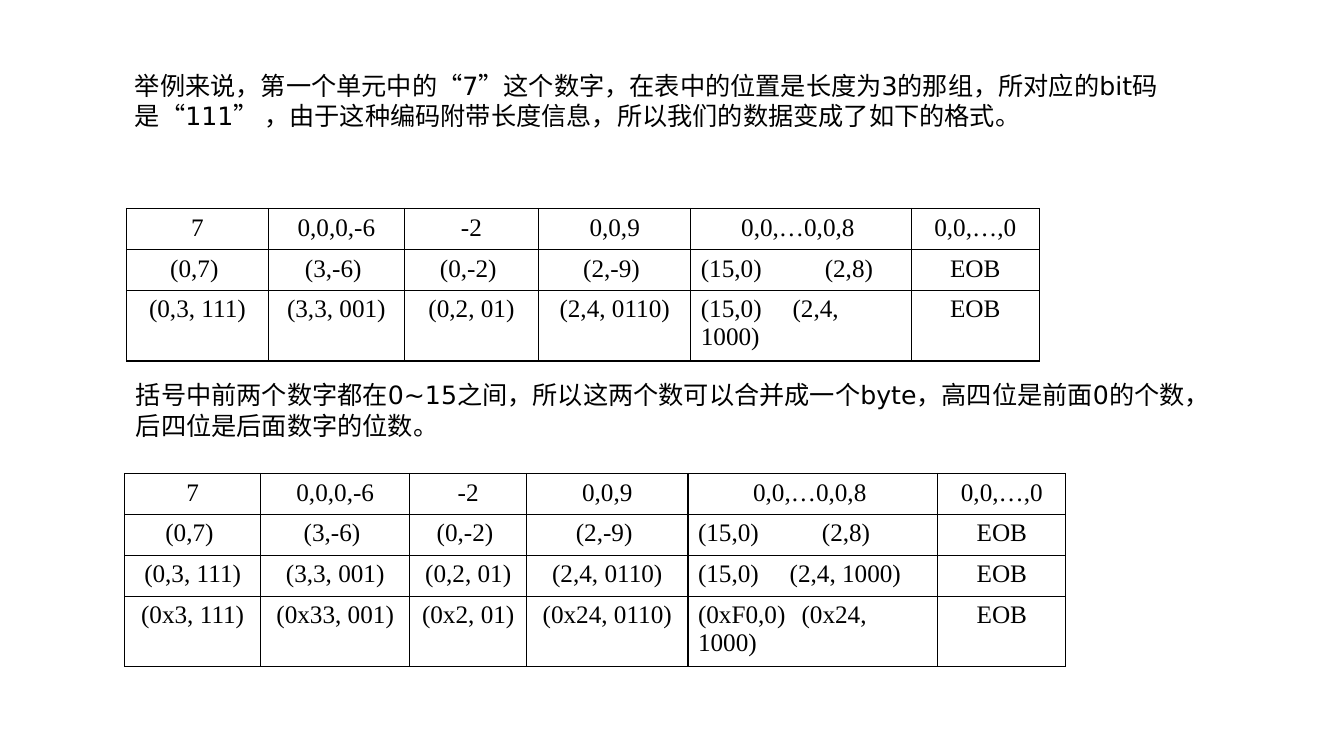
from lxml.etree import SubElement
from pptx import Presentation
from pptx.dml.color import RGBColor
from pptx.enum.text import PP_ALIGN
from pptx.oxml.ns import qn
from pptx.util import Pt

COLORS = {"ink": "000000"}
LATIN, CJK, SERIF = "DejaVu Sans", "Noto Sans CJK SC", "Times New Roman"


def add_run(p, text, font):
    r = p.add_run()
    r.text = text
    r.font.size = Pt(18)
    r.font.name = font
    r.font.color.rgb = RGBColor.from_string(COLORS["ink"])
    return r


def add_border(cell, side):
    ln = SubElement(cell._tc.get_or_add_tcPr(), qn(f"a:{side}"), w=str(Pt(1)))
    fill = SubElement(ln, qn("a:solidFill"))
    SubElement(fill, qn("a:srgbClr"), val=COLORS["ink"])


prs = Presentation()
prs.slide_width, prs.slide_height = Pt(960), Pt(540)
s = prs.slides.add_slide(prs.slide_layouts[6])

paragraphs = [
    (89.3, 46, 796.3, "举例来说，第一个单元中的“7”这个数字，在表中的位置是长度为3的那组，所对应的bit码是“111” ，由于这种编码附带长度信息，所以我们的数据变成了如下的格式。"),
    (90, 267, 784, "括号中前两个数字都在0~15之间，所以这两个数可以合并成一个byte，高四位是前面0的个数，后四位是后面数字的位数。"),
]
for left, top, width, text in paragraphs:
    sp = s.shapes.add_textbox(Pt(left), Pt(top), Pt(width), Pt(51))
    tf = sp.text_frame
    tf.word_wrap = True
    p = tf.paragraphs[0]
    p.line_spacing = Pt(22)
    r = add_run(p, text, LATIN)
    r._r.get_or_add_rPr().set("lang", "zh-CN")
    SubElement(r._r.get_or_add_rPr(), qn("a:ea"), typeface=CJK)

coding_rows = [
    ["7", "0,0,0,-6", "-2", "0,0,9", "0,0,…0,0,8 ", "0,0,…,0"],
    ["(0,7) ", "(3,-6) ", "(0,-2) ", "(2,-9) ", "(15,0)\t(2,8)", "EOB"],
    ["(0,3, 111)", "(3,3, 001)", "(0,2, 01)", "(2,4, 0110)", "(15,0)\t(2,4, 1000)", "EOB"],
    ["(0x3, 111)", "(0x33, 001)", "(0x2, 01)", "(0x24, 0110)", "(0xF0,0)\t(0x24, 1000)", "EOB"],
]
pair_tabs = [0, 88.5, 65.5, 74]
tables = [
    (90.3, 149, coding_rows[:3], [101.5, 97, 96, 108.7, 157.5, 91.5]),
    (89, 338.2, coding_rows, [97.2, 106.5, 83.5, 115.2, 178.5, 91.5]),
]
for left, top, rows, widths in tables:
    frame = s.shapes.add_table(len(rows), len(widths), Pt(left), Pt(top),
                               Pt(sum(widths)), Pt(29.2 * len(rows)))
    table = frame.table
    table.first_row = table.horz_banding = False
    for column, width in zip(table.columns, widths):
        column.width = Pt(width)
    for i, row in enumerate(rows):
        for j, text in enumerate(row):
            cell = table.cell(i, j)
            for side in ("lnL", "lnR", "lnT", "lnB"):
                add_border(cell, side)
            cell.fill.background()
            p = cell.text_frame.paragraphs[0]
            p.alignment = PP_ALIGN.CENTER
            if "\t" in text:
                p.alignment = PP_ALIGN.LEFT
                tabs = SubElement(p._p.get_or_add_pPr(), qn("a:tabLst"))
                SubElement(tabs, qn("a:tab"), pos=str(Pt(pair_tabs[i])), algn="l")
            add_run(p, text, SERIF)

prs.save("out.pptx")
